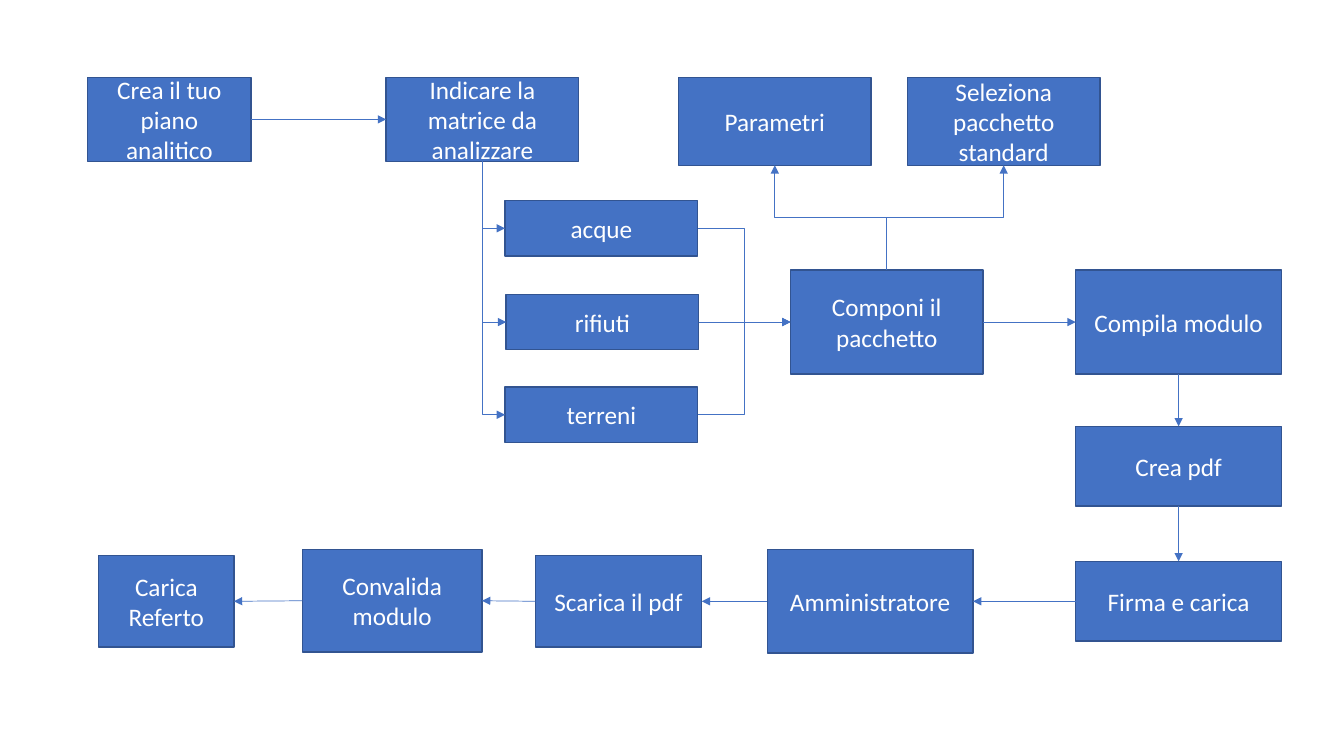
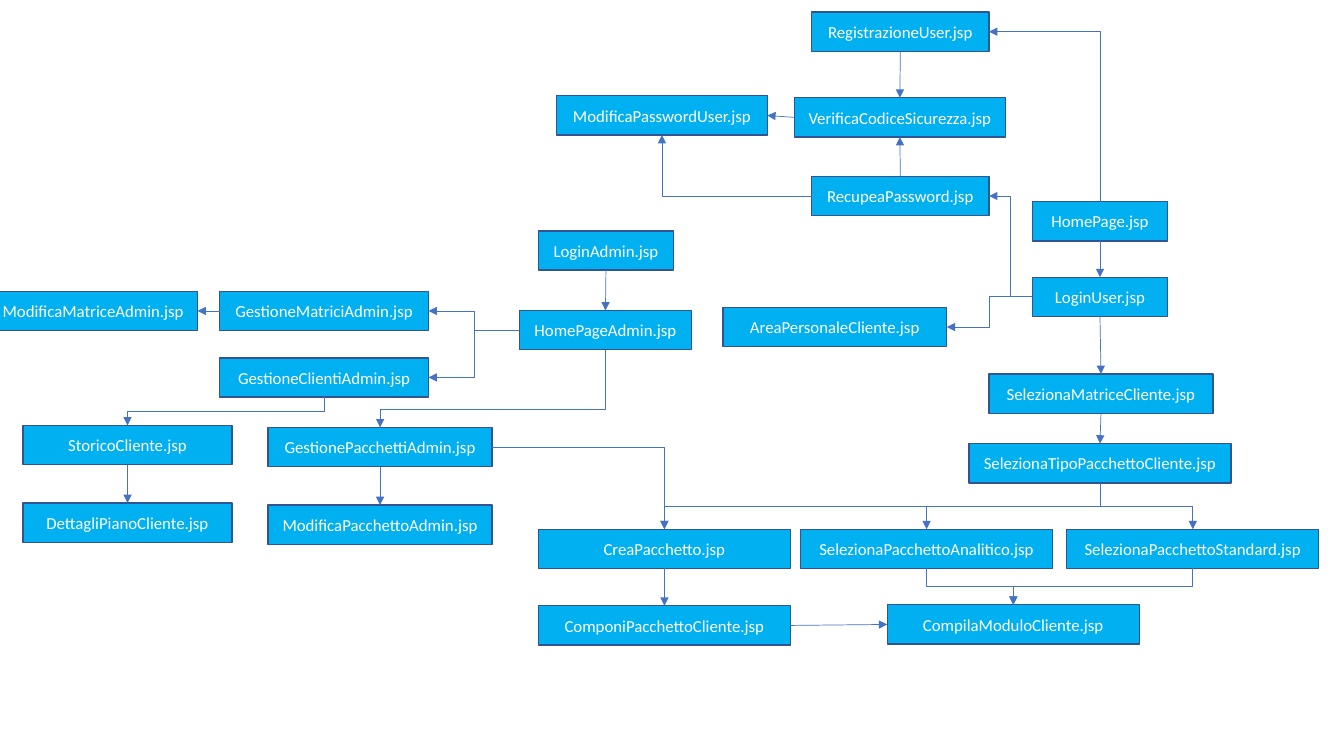
from dataclasses import dataclass
from enum import IntEnum

from lxml import etree
from pptx import Presentation
from pptx import util as u
from pptx.dml.color import RGBColor
from pptx.enum import shapes, text
from pptx.oxml.ns import qn

PX = 9144  # EMU per px, 100 px to the inch
ALIGNED = 3 * PX  # ends closer than this are joined by a straight line


@dataclass(frozen=True)
class Theme:
    font: str = "Calibri"
    process_fill: RGBColor = RGBColor(0x44, 0x72, 0xC4)
    page_fill: RGBColor = RGBColor(0x00, 0xB0, 0xF0)
    border: RGBColor = RGBColor(0x32, 0x54, 0x91)
    arrow: RGBColor = RGBColor(0x44, 0x72, 0xC4)
    label: RGBColor = RGBColor(0xFF, 0xFF, 0xFF)
    process_size: int = 18
    page_size: int = 12
    border_width: float = 1
    arrow_width: float = 0.5


THEME = Theme()


class Side(IntEnum):
    TOP = 0
    LEFT = 1
    BOTTOM = 2
    RIGHT = 3

    @property
    def vertical(self) -> bool:
        return self in (Side.TOP, Side.BOTTOM)


T, L, B, R = Side


@dataclass(frozen=True)
class Box:
    label: str
    left: int
    top: int
    width: int
    height: int = 39


@dataclass(frozen=True)
class Link:
    start: str
    leave: Side
    end: str
    enter: Side
    bend: int = 50  # place of the bend, in percent of the way


@dataclass(frozen=True)
class Flow:
    fill: RGBColor
    size: int
    boxes: list[Box]
    links: list[Link]


# Steps of the process
PROCESS = Flow(
    THEME.process_fill,
    THEME.process_size,
    [
        Box("Crea il tuo piano analitico", 87, 77, 162, 83),
        Box("Indicare la matrice da analizzare", 383, 77, 191, 83),
        Box("acque", 501, 199, 191, 55),
        Box("rifiuti", 502, 292, 191, 55),
        Box("terreni", 501, 384, 191, 55),
        Box("Componi il pacchetto", 784, 268, 191, 103),
        Box("Seleziona pacchetto standard", 900, 77, 191, 87),
        Box("Parametri", 673, 77, 191, 87),
        Box("Compila modulo", 1067, 268, 204, 103),
        Box("Crea pdf", 1067, 423, 204, 79),
        Box("Firma e carica", 1067, 557, 204, 79),
        Box("Amministratore", 761, 545, 204, 103),
        Box("Scarica il pdf", 531, 551, 165, 91),
        Box("Convalida modulo", 300, 545, 178, 102),
        Box("Carica Referto", 98, 551, 134, 91),
    ],
    [
        Link("Crea il tuo piano analitico", R, "Indicare la matrice da analizzare", L),
        *(Link("Indicare la matrice da analizzare", B, matrix, L)
          for matrix in ("acque", "rifiuti", "terreni")),
        *(Link(matrix, R, "Componi il pacchetto", L)
          for matrix in ("acque", "rifiuti", "terreni")),
        *(Link("Componi il pacchetto", T, choice, B)
          for choice in ("Seleziona pacchetto standard", "Parametri")),
        Link("Componi il pacchetto", R, "Compila modulo", L),
        Link("Compila modulo", B, "Crea pdf", T),
        Link("Crea pdf", B, "Firma e carica", T),
        Link("Firma e carica", L, "Amministratore", R),
        Link("Amministratore", L, "Scarica il pdf", R),
        Link("Scarica il pdf", L, "Convalida modulo", R),
        Link("Convalida modulo", L, "Carica Referto", R),
    ],
)

# Pages of the site
PAGES = Flow(
    THEME.page_fill,
    THEME.page_size,
    [
        Box("HomePage.jsp", 1024, 200, 134),
        Box("LoginUser.jsp", 1024, 275, 134),
        Box("HomePageAdmin.jsp", 515, 308, 171),
        Box("LoginAdmin.jsp", 534, 229, 134),
        Box("GestioneMatriciAdmin.jsp", 218, 289, 207),
        Box("ModificaMatriceAdmin.jsp", -11, 289, 207),
        Box("GestionePacchettiAdmin.jsp", 266, 424, 222),
        Box("ModificaPacchettoAdmin.jsp", 266, 501, 222),
        Box("GestioneClientiAdmin.jsp", 218, 355, 207),
        Box("StoricoCliente.jsp", 23, 422, 207),
        Box("DettagliPianoCliente.jsp", 23, 499, 207),
        Box("SelezionaMatriceCliente.jsp", 981, 371, 222),
        Box("SelezionaTipoPacchettoCliente.jsp", 961, 440, 260),
        Box("SelezionaPacchettoStandard.jsp", 1058, 525, 250),
        Box("SelezionaPacchettoAnalitico.jsp", 794, 525, 250),
        Box("CreaPacchetto.jsp", 534, 525, 250),
        Box("ComponiPacchettoCliente.jsp", 534, 601, 250),
        Box("CompilaModuloCliente.jsp", 880, 600, 250),
        Box("AreaPersonaleCliente.jsp", 717, 305, 222),
        Box("RecupeaPassword.jsp", 805, 175, 176),
        Box("RegistrazioneUser.jsp", 805, 12, 176),
        Box("VerificaCodiceSicurezza.jsp", 788, 97, 209),
        Box("ModificaPasswordUser.jsp", 552, 95, 209),
    ],
    [
        # Administration
        Link("LoginAdmin.jsp", B, "HomePageAdmin.jsp", T),
        Link("HomePageAdmin.jsp", L, "GestioneMatriciAdmin.jsp", R),
        Link("HomePageAdmin.jsp", L, "GestioneClientiAdmin.jsp", R),
        Link("HomePageAdmin.jsp", B, "GestionePacchettiAdmin.jsp", T, bend=77),
        Link("GestioneMatriciAdmin.jsp", L, "ModificaMatriceAdmin.jsp", R),
        Link("GestioneClientiAdmin.jsp", B, "StoricoCliente.jsp", T),
        Link("StoricoCliente.jsp", B, "DettagliPianoCliente.jsp", T),
        Link("GestionePacchettiAdmin.jsp", B, "ModificaPacchettoAdmin.jsp", T),
        Link("GestionePacchettiAdmin.jsp", R, "CreaPacchetto.jsp", T),
        # Access
        Link("HomePage.jsp", T, "RegistrazioneUser.jsp", R),
        Link("HomePage.jsp", B, "LoginUser.jsp", T),
        Link("LoginUser.jsp", L, "RecupeaPassword.jsp", R),
        Link("LoginUser.jsp", L, "AreaPersonaleCliente.jsp", R),
        Link("LoginUser.jsp", B, "SelezionaMatriceCliente.jsp", T),
        Link("RegistrazioneUser.jsp", B, "VerificaCodiceSicurezza.jsp", T),
        Link("RecupeaPassword.jsp", T, "VerificaCodiceSicurezza.jsp", B),
        Link("RecupeaPassword.jsp", L, "ModificaPasswordUser.jsp", B),
        Link("VerificaCodiceSicurezza.jsp", L, "ModificaPasswordUser.jsp", R),
        # Packages
        Link("SelezionaMatriceCliente.jsp", B, "SelezionaTipoPacchettoCliente.jsp", T),
        *(Link("SelezionaTipoPacchettoCliente.jsp", B, package, T)
          for package in ("SelezionaPacchettoStandard.jsp",
                          "SelezionaPacchettoAnalitico.jsp", "CreaPacchetto.jsp")),
        *(Link(package, B, "CompilaModuloCliente.jsp", T)
          for package in ("SelezionaPacchettoAnalitico.jsp",
                          "SelezionaPacchettoStandard.jsp")),
        Link("CreaPacchetto.jsp", B, "ComponiPacchettoCliente.jsp", T),
        Link("ComponiPacchettoCliente.jsp", R, "CompilaModuloCliente.jsp", L),
    ],
)


def draw_box(slide, box: Box, fill: RGBColor, size: int):
    step = slide.shapes.add_shape(
        shapes.MSO_SHAPE.RECTANGLE,
        *(length * PX for length in (box.left, box.top, box.width, box.height)))
    step.shadow.inherit = False
    step.fill.solid()
    step.fill.fore_color.rgb = fill
    step.line.color.rgb = THEME.border
    step.line.width = u.Pt(THEME.border_width)
    frame = step.text_frame
    frame.word_wrap = True
    frame.vertical_anchor = text.MSO_ANCHOR.MIDDLE
    label = frame.paragraphs[0]
    label.text = box.label
    label.alignment = text.PP_ALIGN.CENTER
    label.font.name = THEME.font
    label.font.size = u.Pt(size)
    label.font.color.rgb = THEME.label
    return step


def shape_elbow(arrow, link: Link, ends: tuple[int, int, int, int]) -> None:
    """Turn and flip the elbow so that it leaves and enters by the link's sides."""
    x1, y1, x2, y2 = ends
    dx, dy = x2 - x1, y2 - y1
    crossed = dx * dy < 0
    if link.leave.vertical:
        turn = 90 if crossed else 270
        flips = dx > 0, dy < 0
        width, height = abs(dy), abs(dx)
    else:
        turn = 180 if dx < 0 else 0
        flips = False, crossed
        width, height = abs(dx), abs(dy)
    arrow.left, arrow.top = (x1 + x2 - width) // 2, (y1 + y2 - height) // 2
    arrow.width, arrow.height = width, height

    properties = arrow._element.spPr
    frame = properties.find(qn("a:xfrm"))
    frame.set("rot", str(turn * 60000))
    for name, flipped in zip(("flipH", "flipV"), flips):
        frame.set(name, str(int(flipped)))
    geometry = properties.find(qn("a:prstGeom"))
    if link.leave.vertical != link.enter.vertical:
        geometry.set("prst", "bentConnector2")
    elif link.bend != 50:
        guides = geometry.find(qn("a:avLst"))
        etree.SubElement(guides, qn("a:gd"), name="adj1", fmla=f"val {link.bend * 1000}")


def draw_link(slide, link: Link, steps: dict) -> None:
    arrow = slide.shapes.add_connector(shapes.MSO_CONNECTOR.STRAIGHT, 0, 0, 0, 0)
    arrow.begin_connect(steps[link.start], link.leave)
    arrow.end_connect(steps[link.end], link.enter)
    ends = arrow.begin_x, arrow.begin_y, arrow.end_x, arrow.end_y
    offset = ends[2] - ends[0] if link.leave.vertical else ends[3] - ends[1]
    properties = arrow._element.spPr
    if abs(offset) > ALIGNED:
        properties.find(qn("a:prstGeom")).set("prst", "bentConnector3")
        shape_elbow(arrow, link, ends)

    arrow.line.color.rgb = THEME.arrow
    arrow.line.width = u.Pt(THEME.arrow_width)
    etree.SubElement(properties.find(qn("a:ln")), qn("a:tailEnd"), type="triangle")
    etree.SubElement(properties, qn("a:effectLst"))


def draw_flow(deck, flow: Flow) -> None:
    slide = deck.slides.add_slide(deck.slide_layouts[6])
    steps = {box.label: draw_box(slide, box, flow.fill, flow.size) for box in flow.boxes}
    for link in flow.links:
        draw_link(slide, link, steps)


def main() -> None:
    deck = Presentation()
    deck.slide_width, deck.slide_height = 1333 * PX, 750 * PX
    for flow in (PROCESS, PAGES):
        draw_flow(deck, flow)
    deck.save("out.pptx")


if __name__ == "__main__":
    main()
